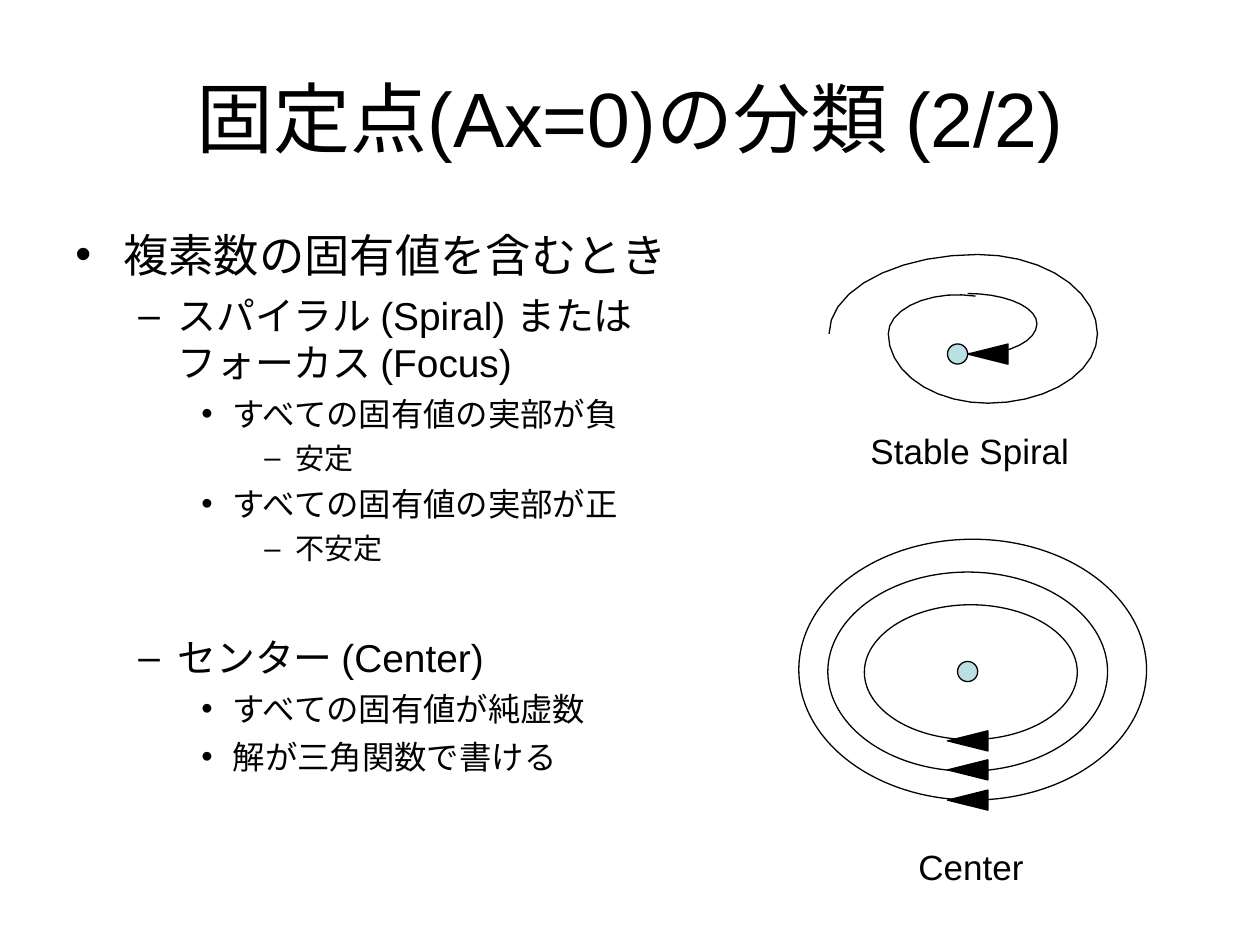
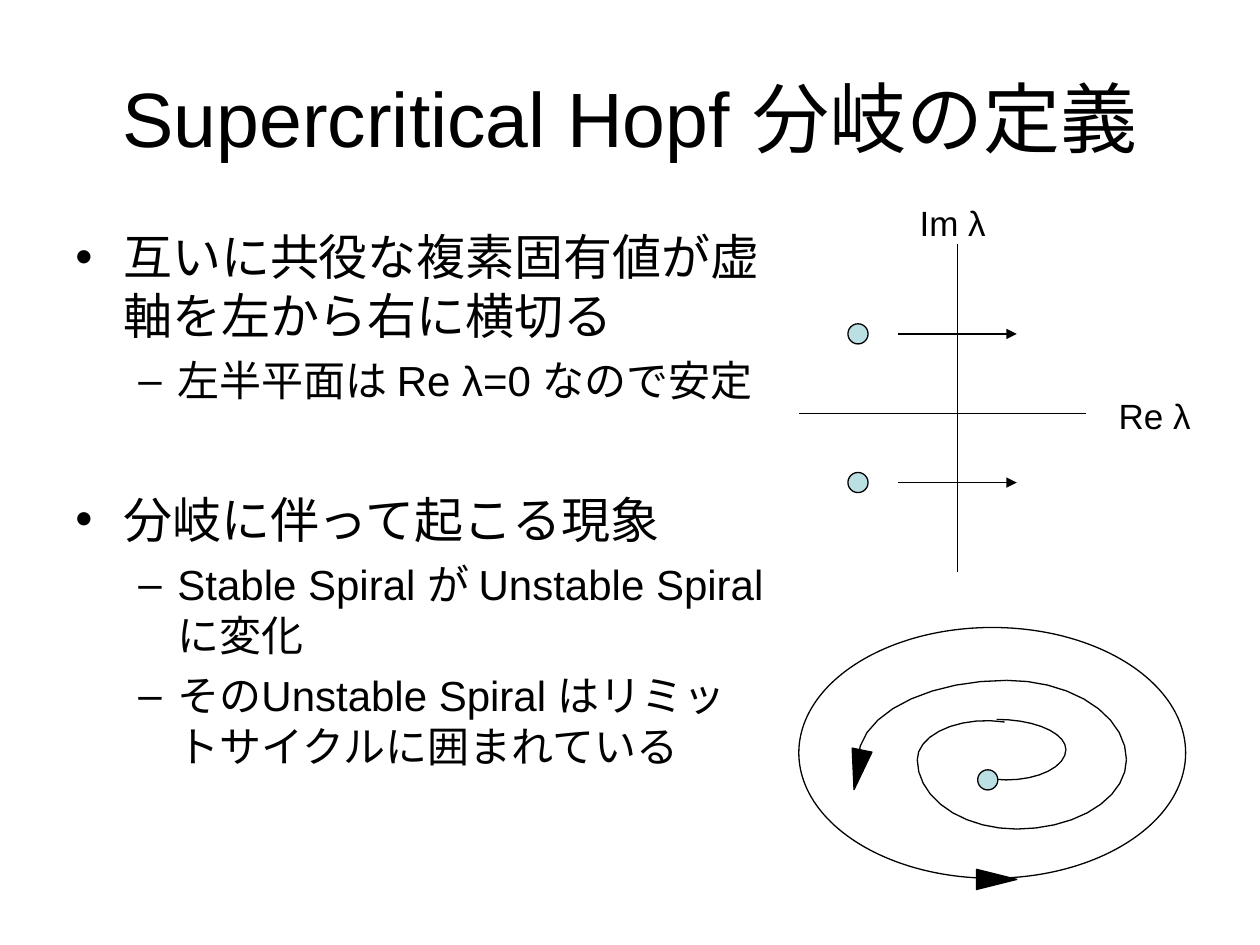
from math import cos, radians, sin
from typing import NamedTuple

from lxml.etree import SubElement
from pptx import Presentation
from pptx.dml.color import RGBColor
from pptx.enum.lang import MSO_LANGUAGE_ID
from pptx.enum.shapes import MSO_CONNECTOR, MSO_SHAPE
from pptx.enum.text import MSO_ANCHOR, MSO_AUTO_SIZE, PP_ALIGN
from pptx.oxml.ns import qn
from pptx.util import Inches, Pt

BLACK = "000000"
AQUA = "BBE0E3"
FONT = "Arial"
THIN = Pt(0.75)
DOT = 0.16
HEAD = (0.16, 0.32)
STEPS = 9  # straight pieces in one arc


class Level(NamedTuple):
    mark: str
    left: float
    hang: float
    before: float


class Item(NamedTuple):
    level: int
    text: str
    gap: float = 0  # extra points above the paragraph


class Arc(NamedTuple):
    x: float
    y: float
    rx: float
    ry: float
    start: int
    end: int


LEVELS = [
    Level("•", 0.38, 0.38, 7),
    Level("–", 0.81, 0.31, 6),
    Level("•", 1.25, 0.25, 5),
    Level("–", 1.75, 0.25, 4.5),
]

# Elliptic arcs from the outer end to the core, angles clockwise on screen.
SPIRAL = [
    Arc(7.76, 2.65, 1.18, 0.63, 180, 270),
    Arc(7.76, 2.65, 0.95, 0.63, 270, 360),
    Arc(7.84, 2.65, 0.87, 0.55, 0, 90),
    Arc(7.84, 2.65, 0.79, 0.55, 90, 180),
    Arc(7.6, 2.65, 0.55, 0.31, 180, 285),
    Arc(7.68, 2.57, 0.55, 0.24, 270, 360),
    Arc(7.76, 2.57, 0.47, 0.24, 0, 102),
]

KINDS = [
    Item(0, "複素数の固有値を含むとき"),
    Item(1, "スパイラル (Spiral) または フォーカス (Focus)"),
    Item(2, "すべての固有値の実部が負"),
    Item(3, "安定"),
    Item(2, "すべての固有値の実部が正"),
    Item(3, "不安定"),
    Item(1, "センター (Center)", 33),
    Item(2, "すべての固有値が純虚数"),
    Item(2, "解が三角関数で書ける"),
]

HOPF = [
    Item(0, "互いに共役な複素固有値が虚軸を左から右に横切る"),
    Item(1, "左半平面は Re λ=0 なので安定"),
    Item(0, "分岐に伴って起こる現象", 41),
    Item(1, "Stable Spiral が Unstable Spiral に変化"),
    Item(1, "そのUnstable Spiral はリミットサイクルに囲まれている"),
]


def color(code: str) -> RGBColor:
    return RGBColor.from_string(code)


def write(para, text: str, *, size: float, tint: str = BLACK, align=PP_ALIGN.LEFT) -> None:
    para.alignment = align
    run = para.add_run()
    run.text = text
    run.font.name = FONT
    run.font.size = Pt(size)
    run.font.color.rgb = color(tint)
    run.font.language_id = MSO_LANGUAGE_ID.JAPANESE


def add_frame(slide, x: float, y: float, w: float, h: float, wrap: bool = True):
    box = slide.shapes.add_textbox(Inches(x), Inches(y), Inches(w), Inches(h))
    box.text_frame.word_wrap = wrap
    return box.text_frame


def add_title(slide, text: str) -> None:
    frame = add_frame(slide, 0.5, 0.3, 9, 1.25)
    frame.vertical_anchor = MSO_ANCHOR.MIDDLE
    write(frame.paragraphs[0], text, size=44, align=PP_ALIGN.CENTER)


def add_label(slide, text: str, x: float, y: float, w: float, wrap: bool = True) -> None:
    frame = add_frame(slide, x, y, w, 0.44, wrap)
    frame.auto_size = MSO_AUTO_SIZE.SHAPE_TO_FIT_TEXT
    write(frame.paragraphs[0], text, size=20)


def set_bullet(para, level: Level) -> None:
    props = para._p.get_or_add_pPr()
    props.set("marL", str(Inches(level.left)))
    props.set("indent", str(-Inches(level.hang)))
    SubElement(props, qn("a:buFont")).set("typeface", FONT)
    SubElement(props, qn("a:buChar")).set("char", level.mark)


def add_list(slide, items: list[Item], width: float, sizes: list[float]) -> None:
    frame = add_frame(slide, 0.5, 1.75, width, 4.95)
    for i, item in enumerate(items):
        para = frame.add_paragraph() if i else frame.paragraphs[0]
        level = LEVELS[item.level]
        para.level = item.level
        set_bullet(para, level)
        if i:
            para.space_before = Pt(level.before + item.gap)
        write(para, item.text, size=sizes[item.level])


def style(shape, fill: str = "") -> None:
    """Give a thin black outline and, if named, a fill."""
    shape.shadow.inherit = False
    shape.line.color.rgb = color(BLACK)
    shape.line.width = THIN
    if fill:
        shape.fill.solid()
        shape.fill.fore_color.rgb = color(fill)
    else:
        shape.fill.background()


def add_form(slide, kind, x: float, y: float, w: float, h: float, fill: str = "", turn: float = 0) -> None:
    shape = slide.shapes.add_shape(kind, Inches(x), Inches(y), Inches(w), Inches(h))
    shape.rotation = turn
    style(shape, fill)


def add_ring(slide, x: float, y: float, w: float, h: float) -> None:
    add_form(slide, MSO_SHAPE.OVAL, x, y, w, h)


def add_dot(slide, x: float, y: float) -> None:
    add_form(slide, MSO_SHAPE.OVAL, x, y, DOT, DOT, AQUA)


def add_head(slide, x: float, y: float, turn: float) -> None:
    add_form(slide, MSO_SHAPE.ISOSCELES_TRIANGLE, x, y, *HEAD, BLACK, turn)


def add_arc(slide, arc: Arc) -> None:
    points = []
    for i in range(STEPS + 1):
        turn = radians(arc.start + (arc.end - arc.start) * i / STEPS)
        x = arc.x + arc.rx * cos(turn)
        y = arc.y + arc.ry * sin(turn)
        points.append((Inches(x), Inches(y)))
    path = slide.shapes.build_freeform(*points[0])
    path.add_line_segments(points[1:], close=False)
    style(path.convert_to_shape())


def add_spiral(slide, dx: float = 0, dy: float = 0) -> None:
    for arc in SPIRAL:
        add_arc(slide, arc._replace(x=arc.x + dx, y=arc.y + dy))


def add_line(slide, x1: float, y1: float, x2: float, y2: float, arrow: bool = False) -> None:
    ends = [Inches(n) for n in (x1, y1, x2, y2)]
    line = slide.shapes.add_connector(MSO_CONNECTOR.STRAIGHT, *ends)
    line.line.color.rgb = color(BLACK)
    line.line.width = THIN
    if arrow:
        SubElement(line.line._get_or_add_ln(), qn("a:tailEnd")).set("type", "triangle")
    SubElement(line._element.spPr, qn("a:effectLst"))


def draw_kinds(slide) -> None:
    add_title(slide, "固定点(Ax=0)の分類 (2/2)")
    add_list(slide, KINDS, 5.13, [25.9, 22.2, 18.5, 16.6])

    add_ring(slide, 6.34, 4.28, 2.76, 2.07)
    add_ring(slide, 6.57, 4.54, 2.22, 1.58)
    add_ring(slide, 6.86, 4.8, 1.69, 1.07)
    for y in (5.95, 6.19, 5.72):
        add_head(slide, 7.6, y, 270)
    add_dot(slide, 7.6, 5.25)

    add_spiral(slide)
    add_head(slide, 7.76, 2.65, 270)
    add_dot(slide, 7.52, 2.73)

    add_label(slide, "Stable Spiral", 6.81, 3.36, 1.78, wrap=False)
    add_label(slide, "Center", 7.19, 6.66, 1.05, wrap=False)


def draw_hopf(slide) -> None:
    add_title(slide, "Supercritical Hopf 分岐の定義")
    add_list(slide, HOPF, 5.68, [28, 24])

    add_line(slide, 6.34, 3.28, 8.62, 3.28)
    add_line(slide, 7.6, 1.94, 7.6, 4.54)
    add_label(slide, "Re λ", 8.78, 3.08, 0.94)
    add_label(slide, "Im λ", 7.2, 1.55, 0.94)
    for y in (3.83, 2.65):
        add_dot(slide, 6.73, y - DOT / 2)
    for y in (2.65, 3.83):
        add_line(slide, 7.13, y, 8.07, y, arrow=True)

    add_spiral(slide, 0.23, 3.38)
    add_head(slide, 6.73, 5.95, 191.5)
    add_dot(slide, 7.76, 6.11)
    add_ring(slide, 6.34, 4.98, 3.07, 1.99)
    add_head(slide, 7.83, 6.82, 90)


def main() -> None:
    deck = Presentation()
    deck.slide_width = Inches(10)
    deck.slide_height = Inches(7.5)
    for draw in (draw_kinds, draw_hopf):
        draw(deck.slides.add_slide(deck.slide_layouts[6]))
    deck.save("out.pptx")


if __name__ == "__main__":
    main()
